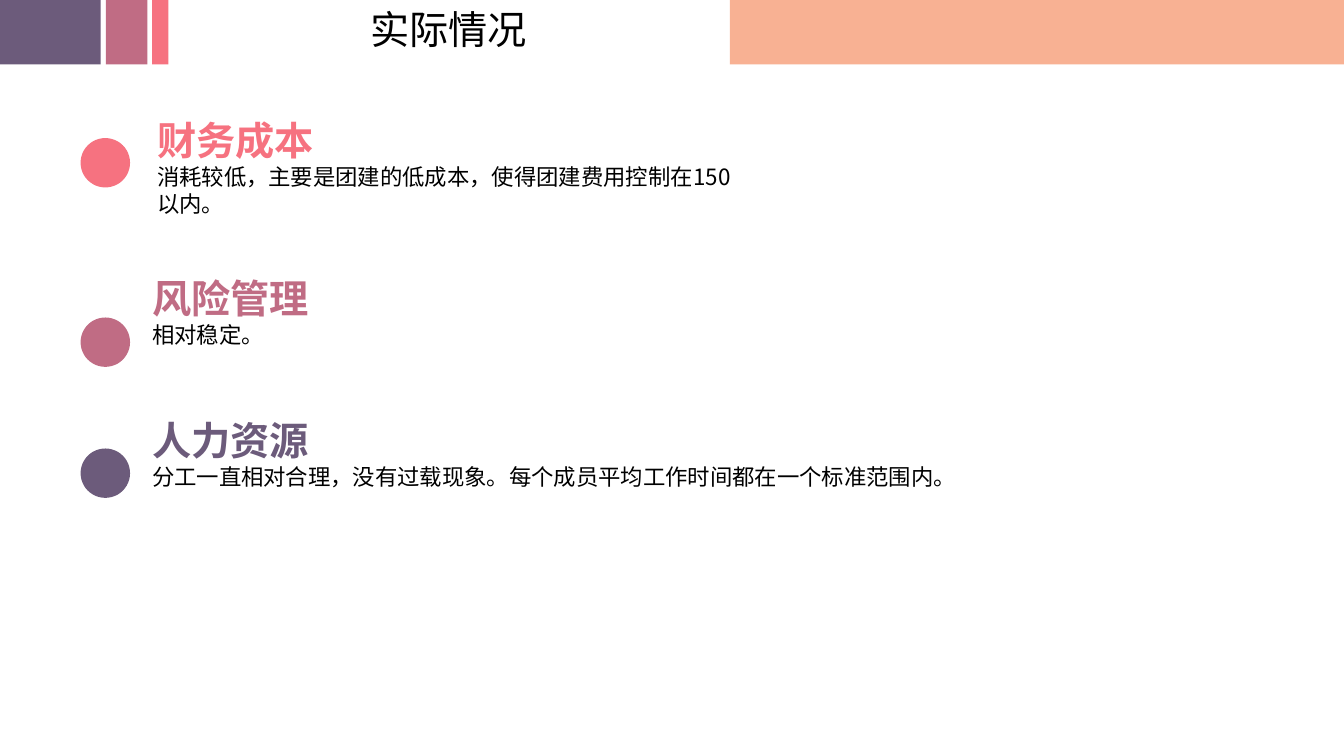
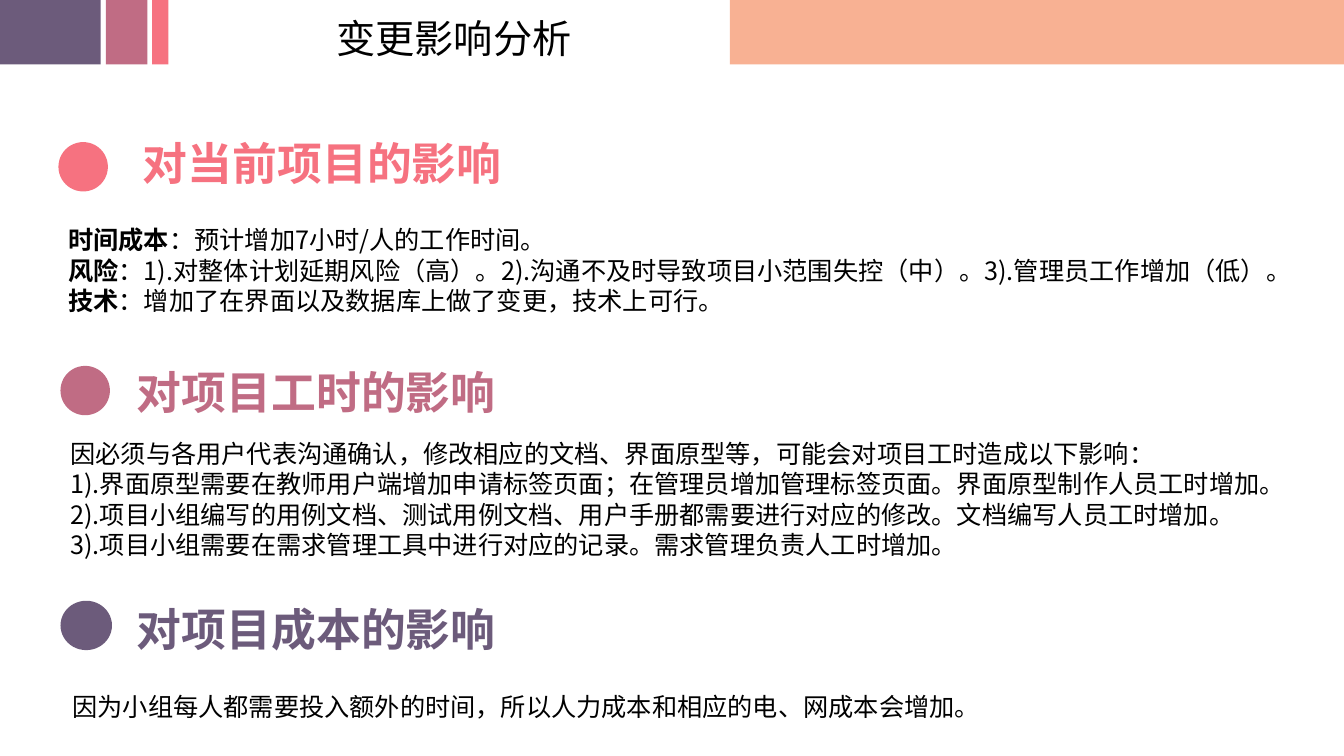
"""Build two project review slides: actual status and change impact."""
import lxml.etree
import pptx
import pptx.dml.color
import pptx.enum.shapes
import pptx.oxml.ns
import pptx.util

RGBColor = pptx.dml.color.RGBColor
PEACH = RGBColor(0xF8, 0xB1, 0x93)
CORAL = RGBColor(0xF6, 0x72, 0x80)
ROSE = RGBColor(0xC0, 0x6C, 0x84)
PLUM = RGBColor(0x6C, 0x5B, 0x7B)
BLACK = RGBColor(0, 0, 0)
CJK = "Noto Sans CJK SC"
LATIN = "Calibri"
RECT = pptx.enum.shapes.MSO_SHAPE.RECTANGLE
OVAL = pptx.enum.shapes.MSO_SHAPE.OVAL
BAND_H = 8.53
DOT_W, DOT_H = 3.68, 6.53

prs = pptx.Presentation()
prs.slide_width = pptx.util.Inches(13.33)
prs.slide_height = pptx.util.Inches(7.5)
COL = prs.slide_width / 100
ROW = prs.slide_height / 100


def shape(s, kind, fill, x, y, w, h):
    sp = s.shapes.add_shape(kind, int(x * COL), int(y * ROW), int(w * COL), int(h * ROW))
    sp.shadow.inherit = False
    sp.fill.solid()
    sp.fill.fore_color.rgb = fill
    sp.line.fill.background()


def text(s, box, content, size=18, color=BLACK, bold=False, font=CJK, wrap=True, lead=False, tf=None):
    fresh = tf is None
    if fresh:
        x, y, w, h = box
        tf = s.shapes.add_textbox(int(x * COL), int(y * ROW), int(w * COL), int(h * ROW)).text_frame
        tf.word_wrap = wrap
    for i, line in enumerate(content.split("\n")):
        p = tf.paragraphs[0] if fresh and i == 0 else tf.add_paragraph()
        p.line_spacing = pptx.util.Pt(size * 1.2)
        label, colon, rest = line.partition("：")
        parts = [(label, True), (colon + rest, False)] if lead else [(line, bold)]
        for part, strong in parts:
            r = p.add_run()
            r.text = part
            r.font.size = pptx.util.Pt(size)
            r.font.bold = strong
            r.font.color.rgb = color
            r.font.name = font
            lxml.etree.SubElement(r.font._element, pptx.oxml.ns.qn("a:ea"), typeface=CJK)
    return tf


slides = []
for title, x, y, w in [("实际情况", 26.8, 0, 13.28), ("变更影响分析", 24.3, 1.2, 19.2)]:
    s = prs.slides.add_slide(prs.slide_layouts[6])
    for fill, left, width in [(PEACH, 54.3, 45.7), (PLUM, 0, 7.5), (ROSE, 7.88, 3.08), (CORAL, 11.33, 1.2)]:
        shape(s, RECT, fill, left, 0, width, BAND_H)
    text(s, (x, y, w, 7.6), title, size=28, wrap=False)
    slides.append(s)
status, impact = slides

topics = [
    (CORAL, 18.27, (10.95, 14.67, 45.38, 14.8), True, "财务成本",
     "消耗较低，主要是团建的低成本，使得团建费用控制在150以内。"),
    (ROSE, 42, (10.58, 35.6, 44.25, 11.2), True, "风险管理", "相对稳定。"),
    (PLUM, 59.33, (10.58, 54.4, 62.1, 11.2), False, "人力资源",
     "分工一直相对合理，没有过载现象。每个成员平均工作时间都在一个标准范围内。"),
]
for color, dot_y, box, wrap, head, body in topics:
    shape(status, OVAL, color, 6, dot_y, DOT_W, DOT_H)
    tf = text(status, box, head, size=28, color=color, bold=True, font=LATIN, wrap=wrap)
    text(status, box, body, size=16, tf=tf)

effects = [
    (CORAL, (4.35, 18.8, DOT_W, DOT_H), (9.9, 17.33, 31.05, 8.53), "对当前项目的影响",
     (4.35, 29.07, 94.5, 13.47), True,
     "时间成本：预计增加7小时/人的工作时间。\n"
     "风险：1).对整体计划延期风险（高）。2).沟通不及时导致项目小范围失控（中）。3).管理员工作增加（低）。\n"
     "技术：增加了在界面以及数据库上做了变更，技术上可行。"),
    (ROSE, (4.5, 48.4, DOT_W, DOT_H), (9.45, 47.6, 31.95, 8.53), "对项目工时的影响",
     (4.5, 57.33, 91.43, 17.47), False,
     "因必须与各用户代表沟通确认，修改相应的文档、界面原型等，可能会对项目工时造成以下影响：\n"
     "1).界面原型需要在教师用户端增加申请标签页面；在管理员增加管理标签页面。界面原型制作人员工时增加。\n"
     "2).项目小组编写的用例文档、测试用例文档、用户手册都需要进行对应的修改。文档编写人员工时增加。\n"
     "3).项目小组需要在需求管理工具中进行对应的记录。需求管理负责人工时增加。"),
    (PLUM, (4.5, 79.47, 3.83, DOT_H), (9.45, 78.93, 28.58, 8.53), "对项目成本的影响",
     (4.65, 90.8, 91.43, 5.33), False,
     "因为小组每人都需要投入额外的时间，所以人力成本和相应的电、网成本会增加。"),
]
for color, dot, head_box, head, body_box, lead, body in effects:
    shape(impact, OVAL, color, *dot)
    text(impact, head_box, head, size=32, color=color, bold=True, font=LATIN, wrap=False)
    text(impact, body_box, body, lead=lead)

# pragma: no cover
prs.save("out.pptx")
